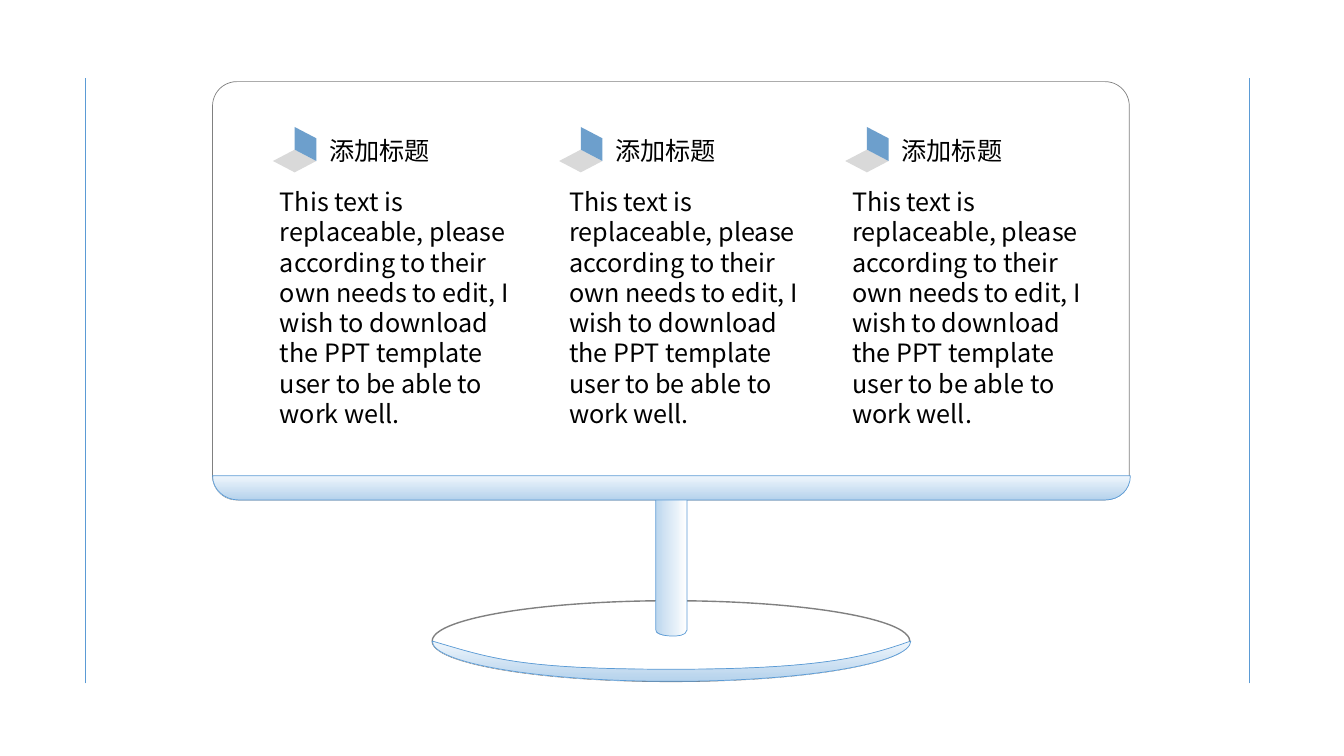
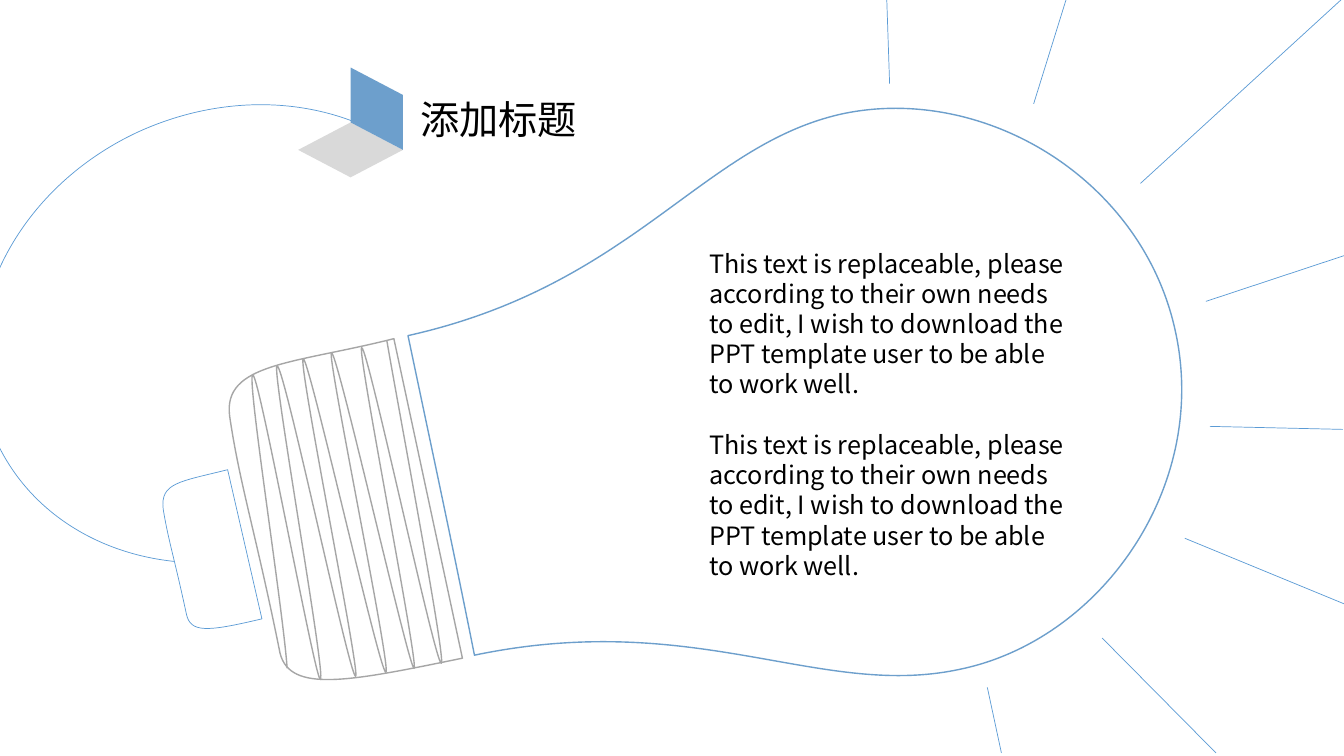
from lxml import etree
from pptx import Presentation
from pptx.dml.color import RGBColor
from pptx.enum.shapes import MSO_CONNECTOR, MSO_SHAPE
from pptx.enum.text import MSO_ANCHOR, MSO_AUTO_SIZE, PP_ALIGN
from pptx.oxml.ns import qn
from pptx.util import Emu, Pt

STRAIGHT = MSO_CONNECTOR.STRAIGHT
ELLIPSE, ROUND_RECT = MSO_SHAPE.OVAL, MSO_SHAPE.ROUNDED_RECTANGLE
TOP, LEFT, GROW = MSO_ANCHOR.TOP, PP_ALIGN.LEFT, MSO_AUTO_SIZE.SHAPE_TO_FIT_TEXT
TITLE_ONLY, BLANK = 5, 6

EMU_PER_PX = 9144  # 100 px to the inch
CURVE_STEPS = 20
FONT = "Noto Sans CJK SC"
LINE_HEIGHT = 1.2
BLACK, WHITE = "000000", "FFFFFF"
BLUE, SOFT_BLUE = "5B9BD5", "6D9FCC"
GRAY, MID_GRAY, PALE_GRAY = "808080", "A6A6A6", "D9D9D9"
SHEEN = ("EFF6FC", "B5D2EC", 270)  # first colour, last colour, angle
STAND_SHEEN = (WHITE, "BDD7EE", 180)

HEADING = "添加标题"
BODY = ("This text is replaceable, please according to their own needs to edit, "
        "I wish to download the PPT template user to be able to work well.")

# Outlines: a start point, then (x, y) for a line or six numbers for a Bézier curve.
STAND = [(673, 484), (678, 484, 682, 487, 682, 492), (682, 625),
         (681, 631, 672, 631, 667, 631), (663, 631, 651, 630, 651, 625),
         (651, 492), (651, 487, 655, 484, 660, 484)]
CHIN = [(1122, 472), (1122, 486, 1111, 496, 1097, 496), (237, 496),
        (223, 496, 211, 486, 211, 472)]
FOOT_RIM = [(429, 636), (487, 653, 515, 664, 667, 664),
            (818, 664, 861, 651, 904, 636), (904, 658, 798, 676, 667, 676),
            (536, 676, 429, 658, 429, 636)]
WIRE = [(173, 557), (96, 549, 29, 507, -3, 439), (-54, 329, 8, 191, 137, 131),
        (218, 94, 305, 96, 372, 130)]
GLASS = [(405, 333), (629, 283, 696, 144, 836, 113), (977, 83, 1135, 178, 1167, 330),
         (1200, 483, 1093, 635, 953, 664), (814, 694, 692, 604, 471, 650),
         (449, 540, 433, 466, 405, 333)]
SOCKET = [(459, 653), (347, 676, 288, 688, 278, 648), (254, 529, 238, 481, 228, 413),
          (221, 360, 292, 361, 391, 336)]
TIP = [(260, 614), (205, 627, 189, 628, 185, 609), (173, 553, 167, 536, 162, 505),
       (159, 479, 178, 478, 226, 466)]
THREAD = [(384, 338), (396, 408, 443, 657, 438, 658), (432, 659, 365, 344, 359, 345),
          (354, 346, 416, 661, 411, 663), (406, 664, 335, 349, 329, 350),
          (324, 351, 389, 666, 383, 667), (377, 668, 307, 356, 301, 356),
          (295, 357, 358, 669, 353, 671), (347, 672, 282, 362, 275, 363),
          (269, 364, 324, 672, 318, 674), (313, 676, 258, 375, 251, 372),
          (244, 370, 281, 604, 285, 663)]
RAYS = [(1197, 299, 1336, 253), (1132, 182, 1332, -1), (1026, 103, 1059, -3),
        (883, 83, 880, -6), (1201, 423, 1333, 426), (1176, 534, 1334, 599),
        (1094, 633, 1207, 747), (980, 682, 994, 747)]


def px(n):
    return Emu(round(n * EMU_PER_PX))


def rgb(value):
    return RGBColor.from_string(value)


def paint(sp, fill=None, line=None, width=0.5):
    """Fill is a hex colour, a gradient tuple or None; line is a hex colour or None."""
    sp.shadow.inherit = False
    if fill is None:
        sp.fill.background()
    elif isinstance(fill, tuple):
        *colors, angle = fill
        sp.fill.gradient()
        sp.fill.gradient_angle = angle
        for stop, color in zip(sp.fill.gradient_stops, colors):
            stop.color.rgb = rgb(color)
    else:
        sp.fill.solid()
        sp.fill.fore_color.rgb = rgb(fill)
    if line is None:
        sp.line.fill.background()
    else:
        sp.line.color.rgb = rgb(line)
        sp.line.width = Pt(width)


def flatten(outline):
    """Turn lines and Bézier curves into points that give the true extent."""
    points = [outline[0]]
    for part in outline[1:]:
        if len(part) == 2:
            points.append(part)
            continue
        (x0, y0), (x1, y1, x2, y2, x3, y3) = points[-1], part
        for i in range(1, CURVE_STEPS + 1):
            t = i / CURVE_STEPS
            u = 1 - t
            a, b, c, d = u ** 3, 3 * u * u * t, 3 * u * t * t, t ** 3
            points.append((a * x0 + b * x1 + c * x2 + d * x3,
                           a * y0 + b * y1 + c * y2 + d * y3))
    return points


def set_segments(sp, outline, closed):
    """Replace the geometry of a freeform with true lines and curves."""
    geometry = sp._element.find(".//" + qn("a:path"))
    for child in list(geometry):
        geometry.remove(child)
    for i, part in enumerate(outline):
        tag = "a:cubicBezTo" if len(part) == 6 else "a:lnTo" if i else "a:moveTo"
        segment = etree.SubElement(geometry, qn(tag))
        for x, y in zip(part[::2], part[1::2]):
            pt = etree.SubElement(segment, qn("a:pt"))
            pt.set("x", str(px(x) - sp.left))
            pt.set("y", str(px(y) - sp.top))
    if closed:
        etree.SubElement(geometry, qn("a:close"))


def add_outline(s, outline, closed=True, **style):
    start, *rest = [(px(x), px(y)) for x, y in flatten(outline)]
    builder = s.shapes.build_freeform(*start, scale=1.0)
    builder.add_line_segments(rest, close=closed)
    sp = builder.convert_to_shape()
    set_segments(sp, outline, closed)
    paint(sp, **style)


def add_preset(s, kind, x, y, w, h, **style):
    sp = s.shapes.add_shape(kind, px(x), px(y), px(w), px(h))
    paint(sp, **style)
    return sp


def add_line(s, x1, y1, x2, y2):
    c = s.shapes.add_connector(STRAIGHT, px(x1), px(y1), px(x2), px(y2))
    c.line.color.rgb = rgb(BLUE)
    c.line.width = Pt(0.5)
    etree.SubElement(c._element.spPr, qn("a:effectLst"))


def write(sp, paragraphs, size=18):
    """Write paragraphs, one blank line's height apart."""
    tf = sp.text_frame
    tf.text = "\n".join(paragraphs)
    tf.word_wrap = True
    tf.auto_size = GROW
    tf.vertical_anchor = TOP
    leading = Pt(size * LINE_HEIGHT)
    for i, p in enumerate(tf.paragraphs):
        p.alignment = LEFT
        p.line_spacing = leading
        p.space_before = leading if i else Pt(0)
        p.font.size = Pt(size)
        p.font.color.rgb = rgb(BLACK)
        p.font.name = FONT
        east_asian = etree.SubElement(p._p.pPr.find(qn("a:defRPr")), qn("a:ea"))
        east_asian.set("typeface", FONT)


def add_text(s, x, y, w, h, *paragraphs):
    write(s.shapes.add_textbox(px(x), px(y), px(w), px(h)), paragraphs)


def set_title(s, x, y, w, h, text, size):
    sp = s.shapes.title
    sp.left, sp.top, sp.width, sp.height = px(x), px(y), px(w), px(h)
    write(sp, [text], size)


def add_fold_icon(s, x, y, w, h):
    """A gray floor tile with a blue wall standing on its back right edge."""
    mid, right, step = x + w / 2, x + w, h / 4
    floor_y, hinge_y = y + 3 * step, y + 2 * step
    add_outline(s, [(mid, y + h), (x, floor_y), (mid, hinge_y), (right, floor_y)],
                fill=PALE_GRAY)
    add_outline(s, [(right, floor_y), (mid, hinge_y), (mid, y), (right, y + step)],
                fill=SOFT_BLUE)


def build_monitor_slide(prs):
    s = prs.slides.add_slide(prs.slide_layouts[BLANK])
    add_preset(s, ELLIPSE, 429, 596, 474, 80, line=GRAY, width=1)
    screen = add_preset(s, ROUND_RECT, 211, 81, 910, 415, fill=WHITE, line=GRAY)
    screen.adjustments[0] = 0.058
    for outline, fill in ((STAND, STAND_SHEEN), (CHIN, SHEEN), (FOOT_RIM, SHEEN)):
        add_outline(s, outline, fill=fill, line=BLUE)
    for x in (85, 1240):
        add_line(s, x, 678, x, 77)
    for i in range(3):
        x = 271 + 284 * i
        add_text(s, x + 46, 129, 123, 40, HEADING)
        add_fold_icon(s, x, 126, 43, 45)
    for x in (268, 555, 836):
        add_text(s, x, 180, 260, 250, BODY)


def build_bulb_slide(prs):
    s = prs.slides.add_slide(prs.slide_layouts[TITLE_ONLY])
    add_outline(s, WIRE, closed=False, line=BLUE)
    add_outline(s, GLASS, line=SOFT_BLUE, width=1)
    add_outline(s, SOCKET, line=MID_GRAY, width=1)
    add_outline(s, TIP, line=BLUE)
    add_outline(s, THREAD, closed=False, line=MID_GRAY, width=1)
    for ray in RAYS:
        add_line(s, *ray)
    add_text(s, 694, 241, 382, 400, BODY, BODY)
    set_title(s, 407, 90, 226, 57, HEADING, 28)
    add_fold_icon(s, 296, 67, 104, 109)


def main():
    prs = Presentation()
    prs.slide_width, prs.slide_height = px(1334), px(750)
    build_monitor_slide(prs)
    build_bulb_slide(prs)
    prs.save("out.pptx")


if __name__ == "__main__":
    main()
